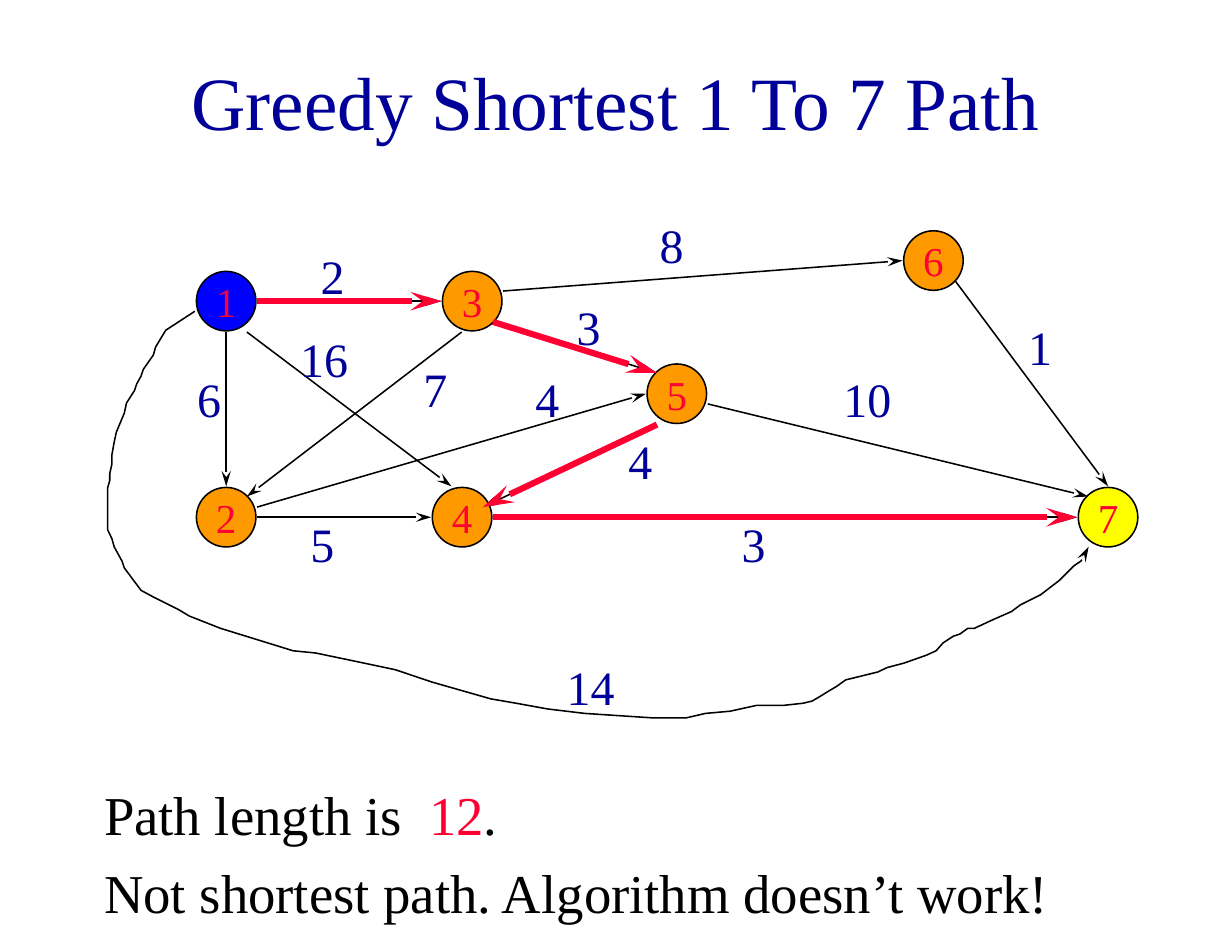
from pptx import Presentation
from pptx.dml.color import RGBColor
from pptx.enum.shapes import MSO_CONNECTOR, MSO_SHAPE
from pptx.enum.text import MSO_ANCHOR, MSO_AUTO_SIZE, PP_ALIGN
from pptx.oxml.ns import qn
from pptx.util import Cm, Pt
from lxml.etree import SubElement

FONT = "Times New Roman"
COLORS = {
    "navy": "000099", "red": "FF0033", "black": "000000",
    "start": "0000FF", "middle": "FF9900", "goal": "FFFF00",
}
NODE_SIZE = 1.35
NODES = {
    1: (3.13, 2.83, "start"), 2: (3.13, 7.73, "middle"),
    3: (8.71, 2.83, "middle"), 4: (8.48, 7.73, "middle"),
    5: (13.35, 4.93, "middle"), 6: (19.17, 1.91, "middle"),
    7: (23.13, 7.73, "goal"),
}
RIGHT, LEFT, UP, DOWN = (0.7, 0), (-0.7, 0), (0, -0.7), (0, 0.7)
EDGES = {
    (1, 2): (DOWN, UP), (1, 3): (RIGHT, LEFT),
    (1, 4): ((0.47, 0.7), (-0.24, -0.7)),
    (2, 4): (RIGHT, LEFT), (2, 5): ((0.7, -0.23), LEFT),
    (3, 2): ((-0.24, 0.7), (0.47, -0.47)),
    (3, 5): ((0.47, 0.47), (-0.45, -0.47)),
    (3, 6): ((0.7, -0.23), LEFT),
    (4, 7): (RIGHT, LEFT),
    (5, 4): ((-0.45, 0.7), (0.47, -0.23)),
    (5, 7): ((0.7, 0.23), (-0.45, -0.47)),
    (6, 7): ((0.5, 0.47), UP),
}
GREEDY_PATH = [(1, 3), (3, 5), (5, 4), (4, 7)]
WEIGHTS = [
    ("2", 4.99, 1.44), ("6", 2.19, 4.23), ("16", 4.53, 3.32),
    ("7", 7.32, 4.0), ("8", 12.68, 0.75), ("10", 16.85, 4.23),
    ("3", 10.8, 2.6), ("14", 10.57, 10.76), ("4", 9.86, 4.23),
    ("4", 11.97, 5.63), ("5", 4.76, 7.51), ("3", 14.54, 7.51),
    ("1", 21.04, 3.06),
]
DETOUR = [
    (2.42, 3.06), (1.76, 3.49), (1.53, 3.87), (1.48, 4.05), (1.25, 4.38),
    (1.2, 4.53), (1.1, 4.71), (1.05, 4.86), (0.87, 5.14), (0.82, 5.37),
    (0.64, 5.8), (0.59, 6.03), (0.54, 6.31), (0.54, 6.52), (0.49, 6.74),
    (0.49, 6.9), (0.44, 7.07), (0.44, 8.01), (0.54, 8.22), (0.59, 8.4),
    (0.77, 8.73), (0.82, 8.88), (1.2, 9.39), (1.48, 9.54), (2.04, 9.82),
    (2.29, 9.97), (3, 10.25), (4.65, 10.76), (5.16, 10.81), (6.26, 11.04),
    (6.97, 11.19), (7.8, 11.47), (9.13, 11.85), (9.71, 11.95),
    (10.42, 12.08), (11.26, 12.18), (12.78, 12.28), (13.57, 12.28),
    (14, 12.18), (14.56, 12.13), (15.15, 12), (15.75, 12), (16.21, 11.95),
    (16.42, 11.9), (16.59, 11.8), (16.8, 11.67), (16.97, 11.57),
    (17.18, 11.42), (17.91, 11.24), (18.12, 11.14), (18.5, 11.04),
    (19.01, 10.86), (19.23, 10.76), (19.39, 10.58), (19.62, 10.43),
    (19.77, 10.38), (19.95, 10.25), (20.1, 10.25), (20.53, 10.05),
    (20.94, 9.87), (21.14, 9.72), (21.6, 9.49), (22.03, 9.16),
    (22.36, 8.83), (22.51, 8.73), (22.64, 8.55), (22.69, 8.4),
]


def rgb(name):
    """Return the palette colour of that name."""
    return RGBColor.from_string(COLORS[name])


def style_font(font, size, color):
    """Set typeface, size and colour."""
    font.name, font.size = FONT, Pt(size)
    font.color.rgb = rgb(color)


def set_insets(frame, side, end):
    """Set the inner margins of a text frame in centimetres."""
    frame.margin_left = frame.margin_right = Cm(side)
    frame.margin_top = frame.margin_bottom = Cm(end)


def place(shape, box):
    """Move a shape into a box of centimetres."""
    shape.left, shape.top, shape.width, shape.height = map(Cm, box)


def style_arrow(line, color, width):
    """Give a line its colour, width and stealth head."""
    line.color.rgb, line.width = rgb(color), Pt(width)
    SubElement(line._get_or_add_ln(), qn("a:tailEnd"),
               type="stealth", w="med", len="lg")


def add_edge(slide, origin, edge, color, width):
    """Draw one straight arrow between two nodes."""
    ends = [Cm(origin[axis] + NODES[node][axis] + offset[axis])
            for node, offset in zip(edge, EDGES[edge]) for axis in (0, 1)]
    arrow = slide.shapes.add_connector(MSO_CONNECTOR.STRAIGHT, *ends)
    style_arrow(arrow.line, color, width)
    SubElement(arrow._element.spPr, qn("a:effectLst"))


def add_node(slide, origin, number):
    """Draw one numbered circle."""
    x, y, role = NODES[number]
    circle = slide.shapes.add_shape(
        MSO_SHAPE.OVAL, Cm(origin[0] + x - NODE_SIZE / 2),
        Cm(origin[1] + y - NODE_SIZE / 2), Cm(NODE_SIZE), Cm(NODE_SIZE))
    circle.shadow.inherit = False
    circle.fill.solid()
    circle.fill.fore_color.rgb = rgb(role)
    circle.line.color.rgb, circle.line.width = rgb("black"), Pt(1)
    frame = circle.text_frame
    frame.word_wrap, frame.vertical_anchor = False, MSO_ANCHOR.MIDDLE
    set_insets(frame, 0, 0)
    label = frame.paragraphs[0]
    label.text, label.alignment = str(number), PP_ALIGN.CENTER
    style_font(label.font, 26.4, "red")


def add_detour(slide, origin):
    """Draw the long curved arrow from node 1 to node 7."""
    points = [(Cm(origin[0] + x), Cm(origin[1] + y)) for x, y in DETOUR]
    builder = slide.shapes.build_freeform(*points[0])
    builder.add_line_segments(points[1:], close=False)
    curve = builder.convert_to_shape()
    curve.shadow.inherit = False
    curve.fill.background()
    style_arrow(curve.line, "black", 1)


def add_weight(slide, origin, weight, x, y):
    """Write the weight of one edge."""
    width = 1.17 if len(weight) == 1 else 1.85
    label = slide.shapes.add_textbox(
        Cm(origin[0] + x), Cm(origin[1] + y), Cm(width), Cm(1.6))
    frame = label.text_frame
    frame.word_wrap = True
    set_insets(frame, 0.28, 0.15)
    frame.text = weight
    style_font(frame.paragraphs[0].font, 30.8, "navy")


def add_graph(slide, origin):
    """Draw the weighted graph and its greedy path."""
    for edge in EDGES:
        add_edge(slide, origin, edge, "black", 1)
    for number in NODES:
        add_node(slide, origin, number)
    add_detour(slide, origin)
    for weight in WEIGHTS:
        add_weight(slide, origin, *weight)
    for edge in GREEDY_PATH:
        add_edge(slide, origin, edge, "red", 4)


def fill_title(title, box):
    """Write the slide title."""
    place(title, box)
    frame = title.text_frame
    frame.text = "Greedy Shortest 1 To 7 Path"
    frame.vertical_anchor = MSO_ANCHOR.MIDDLE
    frame.auto_size = MSO_AUTO_SIZE.NONE
    heading = frame.paragraphs[0]
    heading.alignment = PP_ALIGN.CENTER
    style_font(heading.font, 48.4, "navy")


def fill_conclusion(body, box):
    """Write the two closing lines, with the path length in red."""
    place(body, box)
    frame = body.text_frame
    frame.auto_size = MSO_AUTO_SIZE.NONE
    frame.vertical_anchor = MSO_ANCHOR.TOP
    set_insets(frame, 0.28, 0.15)
    length, verdict = frame.paragraphs[0], frame.add_paragraph()
    for text in ("Path length is  ", "12", "."):
        length.add_run().text = text
    verdict.text = "Not shortest path. Algorithm doesn’t work!"
    for line in (length, verdict):
        style_font(line.font, 35.2, "black")
        line.space_before = Pt(8)
        properties = line._p.get_or_add_pPr()
        properties.set("marL", str(Cm(1.04)))
        properties.set("indent", str(Cm(-1.04)))
        properties.insert_element_before(
            properties.makeelement(qn("a:buNone")),
            "a:tabLst", "a:defRPr", "a:extLst")
    length.runs[1].font.color.rgb = rgb("red")


def main():
    """Build and save the slide."""
    deck = Presentation()
    deck.slide_width, deck.slide_height = Cm(27.94), Cm(21.59)
    slide = deck.slides.add_slide(deck.slide_layouts[1])
    fill_title(slide.shapes.title, (2.08, 0.48, 23.75, 3.61))
    add_graph(slide, (2, 4))
    fill_conclusion(slide.placeholders[1], (2.08, 17.55, 23.75, 3.51))
    deck.save("out.pptx")


if __name__ == "__main__":
    main()
